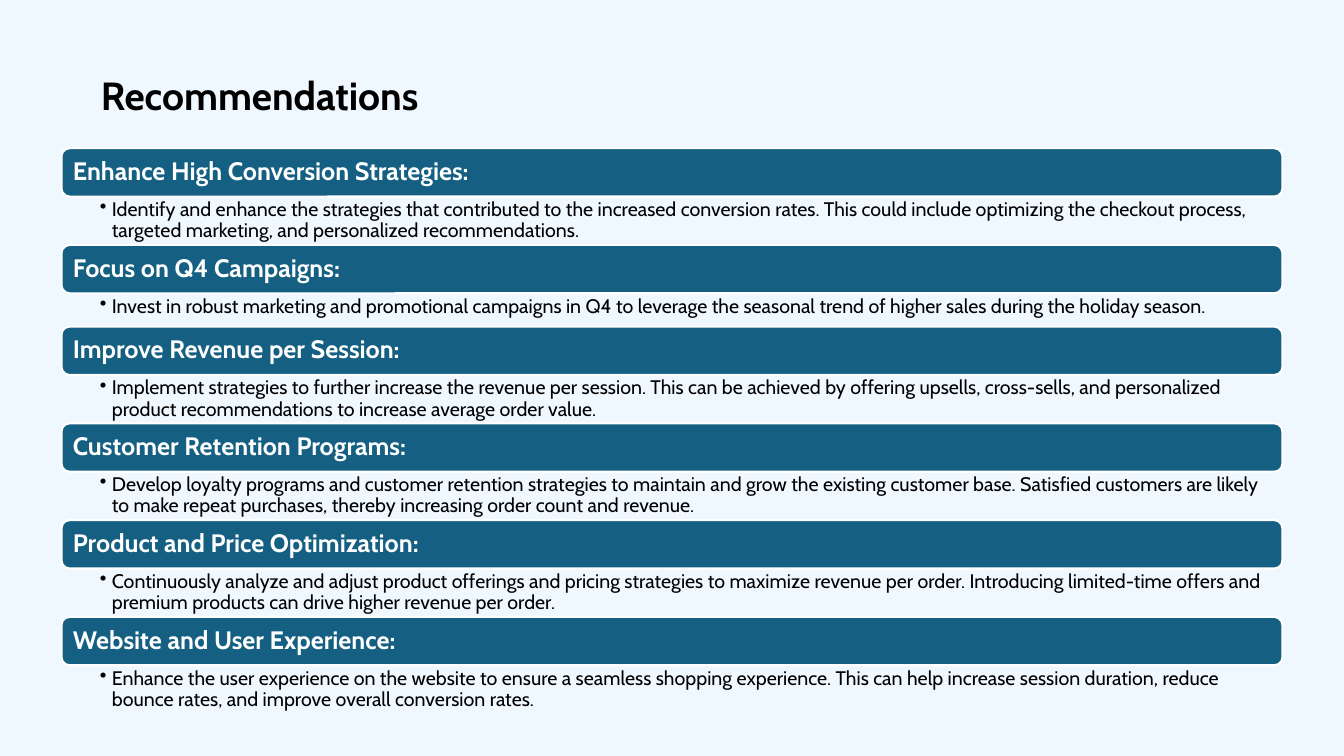
from lxml import etree
from pptx import Presentation
from pptx.dml.color import RGBColor
from pptx.enum.shapes import MSO_SHAPE
from pptx.enum.text import MSO_ANCHOR, PP_ALIGN
from pptx.oxml.ns import qn
from pptx.util import Inches, Pt

ROUNDED = MSO_SHAPE.ROUNDED_RECTANGLE
TOP, MIDDLE = MSO_ANCHOR.TOP, MSO_ANCHOR.MIDDLE
LEFT = PP_ALIGN.LEFT

FONT = "Cabin"
COLORS = {"background": "EFF8FF", "bar": "156082", "white": "FFFFFF", "text": "000000"}
LIST_LEFT, LIST_TOP, LIST_WIDTH = 0.61, 1.47, 12.11
BAR_HEIGHT = 0.48
DETAIL_HEIGHTS = {1: 0.33, 2: 0.48}

RECOMMENDATIONS = [
    ("Enhance High Conversion Strategies:", 2,
     "Identify and enhance the strategies that contributed to the increased conversion rates. "
     "This could include optimizing the checkout process, targeted marketing, and "
     "personalized recommendations."),
    ("Focus on Q4 Campaigns:", 1,
     "Invest in robust marketing and promotional campaigns in Q4 to leverage the seasonal "
     "trend of higher sales during the holiday season."),
    ("Improve Revenue per Session:", 2,
     "Implement strategies to further increase the revenue per session. This can be achieved "
     "by offering upsells, cross-sells, and personalized product recommendations to increase "
     "average order value."),
    ("Customer Retention Programs:", 2,
     "Develop loyalty programs and customer retention strategies to maintain and grow the "
     "existing customer base. Satisfied customers are likely to make repeat purchases, "
     "thereby increasing order count and revenue."),
    ("Product and Price Optimization:", 2,
     "Continuously analyze and adjust product offerings and pricing strategies to maximize "
     "revenue per order. Introducing limited-time offers and premium products can drive "
     "higher revenue per order."),
    ("Website and User Experience:", 2,
     "Enhance the user experience on the website to ensure a seamless shopping experience. "
     "This can help increase session duration, reduce bounce rates, and improve overall "
     "conversion rates."),
]


def rgb(name):
    """Return the named colour."""
    return RGBColor.from_string(COLORS[name])


class SlideBuilder:
    """Hold the style and the current slide."""

    def __init__(self, prs):
        """Add a title slide with a plain background."""
        self.s = prs.slides.add_slide(prs.slide_layouts[5])
        fill = self.s.background.fill
        fill.solid()
        fill.fore_color.rgb = rgb("background")

    def add_text(self, sp, text, size, color, bold, anchor, insets, spacing=0.9):
        """Add one left-aligned paragraph and return it."""
        tf = sp.text_frame
        tf.word_wrap = True
        tf.vertical_anchor = anchor
        tf.margin_left, tf.margin_top, tf.margin_right, tf.margin_bottom = map(Inches, insets)
        p = tf.paragraphs[0]
        p.alignment = LEFT
        p.line_spacing = spacing
        r = p.add_run()
        r.text = text
        r.font.name = FONT
        r.font.size = Pt(size)
        r.font.bold = bold
        r.font.color.rgb = rgb(color)
        return p

    def title(self, text, *box):
        """Move and fill the title placeholder."""
        sp = self.s.shapes.title
        sp.left, sp.top, sp.width, sp.height = map(Inches, box)
        self.add_text(sp, text, 28, "text", True, TOP, (0.1, 0.05, 0.1, 0.05), 1.0)

    def bar(self, text, *box):
        """Add a rounded heading bar."""
        sp = self.s.shapes.add_shape(ROUNDED, *map(Inches, box))
        sp.shadow.inherit = False
        sp.fill.solid()
        sp.fill.fore_color.rgb = rgb("bar")
        sp.line.color.rgb = rgb("white")
        sp.line.width = Pt(1.5)
        self.add_text(sp, text, 18, "white", True, MIDDLE, (0.09, 0.07, 0.09, 0.07))

    def detail(self, text, *box):
        """Add a bulleted detail under a heading bar."""
        sp = self.s.shapes.add_textbox(*map(Inches, box))
        p = self.add_text(sp, text, 14, "text", False, TOP, (0.38, 0.03, 0.14, 0.03))
        p.level = 1
        props = p._p.get_or_add_pPr()
        props.set("marL", str(Inches(0.12)))
        props.set("indent", str(Inches(-0.12)))
        etree.SubElement(props, qn("a:buChar")).set("char", "•")


def main():
    """Build and save the recommendations slide."""
    prs = Presentation()
    prs.slide_width, prs.slide_height = Inches(13.33), Inches(7.5)
    slide = SlideBuilder(prs)
    slide.title("Recommendations", 0.9, 0.66, 4.47, 0.57)
    top = LIST_TOP
    for heading, lines, detail in RECOMMENDATIONS:
        height = DETAIL_HEIGHTS[lines]
        slide.bar(heading, LIST_LEFT, top, LIST_WIDTH, BAR_HEIGHT)
        slide.detail(detail, LIST_LEFT, top + BAR_HEIGHT, LIST_WIDTH, height)
        top += BAR_HEIGHT + height
    prs.save("out.pptx")


if __name__ == "__main__":
    main()
